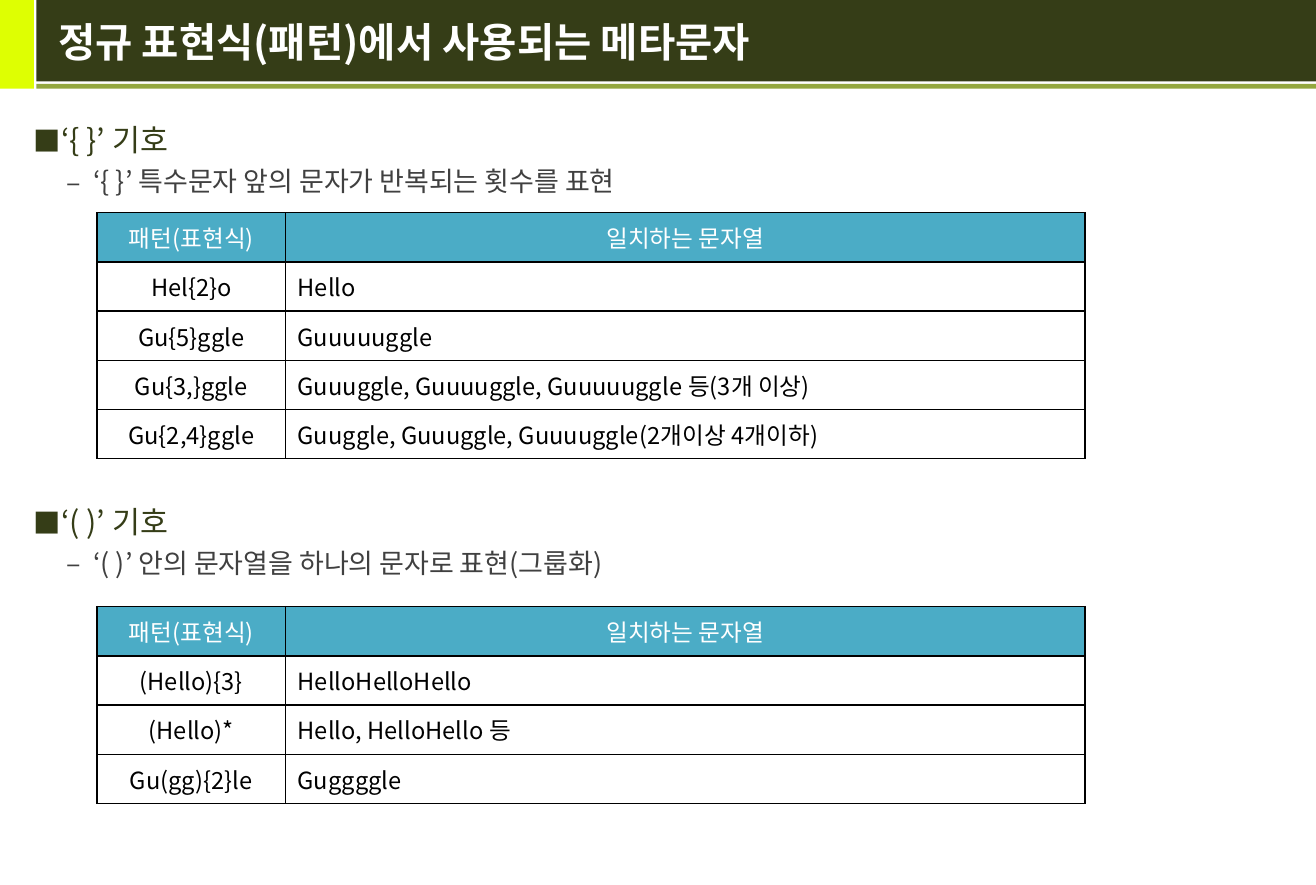
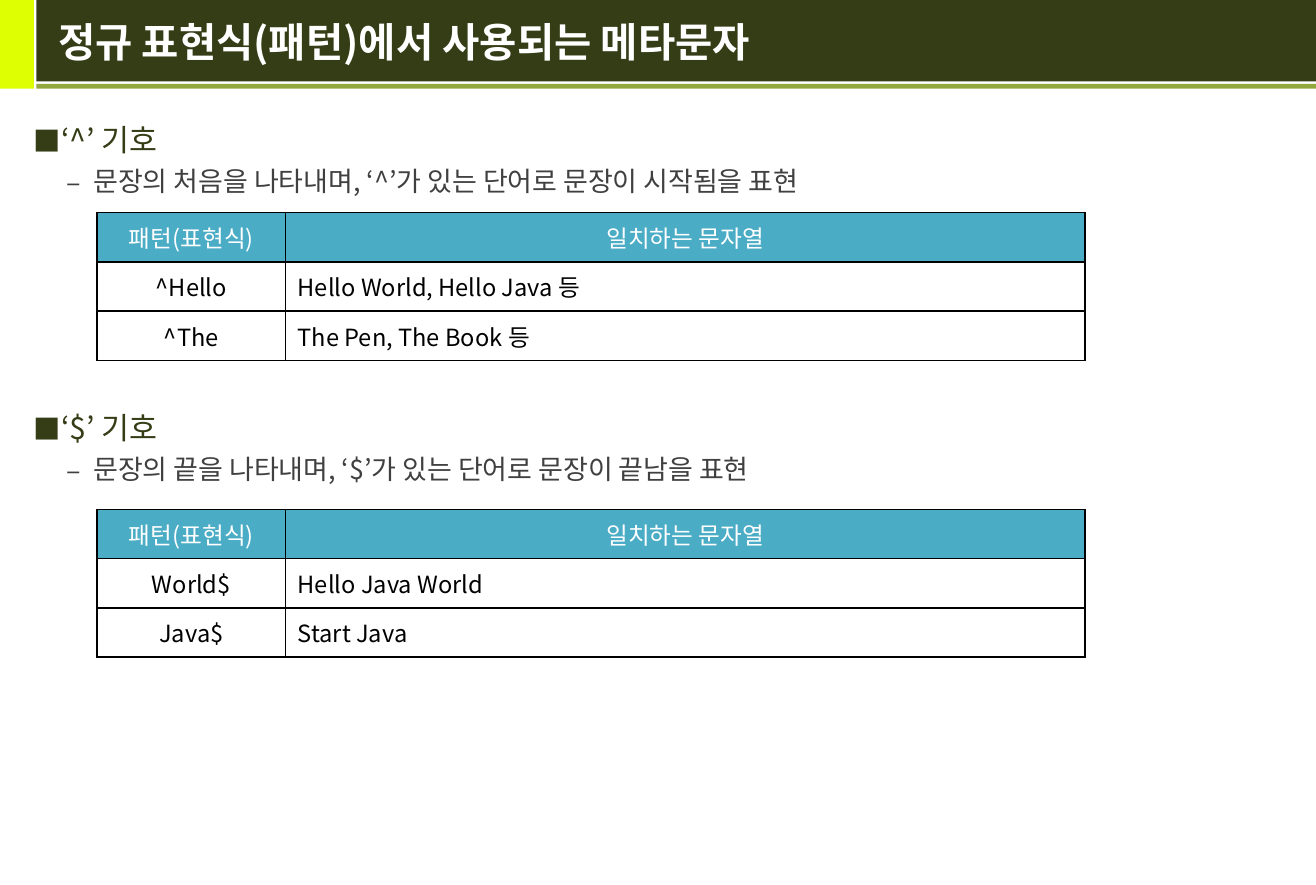
from dataclasses import dataclass

from lxml import etree
from pptx import Presentation
from pptx.dml.color import RGBColor
from pptx.enum.shapes import MSO_SHAPE
from pptx.enum.text import MSO_ANCHOR, PP_ALIGN
from pptx.oxml.ns import qn
from pptx.util import Inches, Pt

RECTANGLE = MSO_SHAPE.RECTANGLE
MIDDLE, TOP = MSO_ANCHOR.MIDDLE, MSO_ANCHOR.TOP
LEFT, CENTER = PP_ALIGN.LEFT, PP_ALIGN.CENTER


@dataclass(frozen=True)
class Theme:
    font: str = "Noto Sans CJK KR"
    lime: str = "DEFF02"
    dark_olive: str = "353D17"
    olive: str = "93A73F"
    gray: str = "404040"
    white: str = "FFFFFF"
    black: str = "000000"
    table_header: str = "4BACC6"
    title_size: int = 24
    heading_size: int = 18
    detail_size: int = 16
    table_size: int = 14
    line_spacing: float = 1.2
    border_width: float = 1
    row_height: float = 1.62 / 4
    column_widths: tuple = (1.55, 6.58)


@dataclass(frozen=True)
class Bullet:
    character: str
    color: str
    margin: float
    hanging: float
    percent: int


THEME = Theme()
HEADING_BULLET = Bullet("■", THEME.dark_olive, 0.2, 0.2, 90)
DETAIL_BULLET = Bullet("–", THEME.gray, 0.49, 0.22, 100)
SLIDE_WIDTH, SLIDE_HEIGHT = 10.83, 7.28
TITLE = "정규 표현식(패턴)에서 사용되는 메타문자"
TABLE_HEADER = ("패턴(표현식)", "일치하는 문자열")

# Each section: top, distance down to its table, heading, detail, table rows
SLIDES = [
    [
        (0.89, 0.86, "‘{ }’ 기호", "‘{ }’ 특수문자 앞의 문자가 반복되는 횟수를 표현", [
            ("Hel{2}o", "Hello"),
            ("Gu{5}ggle", "Guuuuuggle"),
            ("Gu{3,}ggle", "Guuuggle, Guuuuggle, Guuuuuggle 등(3개 이상)"),
            ("Gu{2,4}ggle", "Guuggle, Guuuggle, Guuuuggle(2개이상 4개이하)"),
        ]),
        (4.03, 0.96, "‘( )’ 기호", "‘( )’ 안의 문자열을 하나의 문자로 표현(그룹화)", [
            ("(Hello){3}", "HelloHelloHello"),
            ("(Hello)*", "Hello, HelloHello 등"),
            ("Gu(gg){2}le", "Guggggle"),
        ]),
    ],
    [
        (0.89, 0.86, "‘^’ 기호", "문장의 처음을 나타내며, ‘^’가 있는 단어로 문장이 시작됨을 표현", [
            ("^Hello", "Hello World, Hello Java 등"),
            ("^The", "The Pen, The Book 등"),
        ]),
        (3.26, 0.93, "‘$’ 기호", "문장의 끝을 나타내며, ‘$’가 있는 단어로 문장이 끝남을 표현", [
            ("World$", "Hello Java World"),
            ("Java$", "Start Java"),
        ]),
    ],
]


def add_run(paragraph, text, size, color, bold=False):
    run = paragraph.add_run()
    run.text = text
    font = run.font
    font.name, font.size, font.bold = THEME.font, Pt(size), bold
    font.color.rgb = RGBColor.from_string(color)
    # East Asian typeface follows the Latin one
    latin = font._element.find(qn("a:latin"))
    east_asian = etree.Element(qn("a:ea"), typeface=THEME.font)
    latin.addnext(east_asian)


def set_bullet(paragraph, bullet):
    properties = paragraph._p.get_or_add_pPr()
    properties.set("marL", str(Inches(bullet.margin)))
    properties.set("indent", str(-Inches(bullet.hanging)))
    color = etree.SubElement(properties, qn("a:buClr"))
    etree.SubElement(color, qn("a:srgbClr"), val=bullet.color)
    etree.SubElement(properties, qn("a:buSzPct"), val=str(bullet.percent * 1000))
    etree.SubElement(properties, qn("a:buFont"), typeface=THEME.font)
    etree.SubElement(properties, qn("a:buChar"), char=bullet.character)


def set_borders(cell):
    properties = cell._tc.get_or_add_tcPr()
    for side in ("lnL", "lnR", "lnT", "lnB"):
        line = etree.SubElement(properties, qn(f"a:{side}"), w=str(Pt(THEME.border_width)))
        fill = etree.SubElement(line, qn("a:solidFill"))
        etree.SubElement(fill, qn("a:srgbClr"), val=THEME.black)


def add_band(slide, left, top, width, height, color):
    band = slide.shapes.add_shape(
        RECTANGLE, Inches(left), Inches(top), Inches(width), Inches(height))
    band.shadow.inherit = False
    band.fill.solid()
    band.fill.fore_color.rgb = RGBColor.from_string(color)
    band.line.fill.background()


def add_text_frame(slide, left, top, width, height, anchor):
    box = slide.shapes.add_textbox(Inches(left), Inches(top), Inches(width), Inches(height))
    frame = box.text_frame
    frame.word_wrap = True
    frame.vertical_anchor = anchor
    return frame


def add_title_bar(slide, width, height):
    """Lime block, dark title band and the thin line under it."""
    block_width, band_left, line_height = 0.28, 0.3, 0.04
    band_width = width - band_left
    add_band(slide, 0, 0, block_width, height, THEME.lime)
    add_band(slide, band_left, 0, band_width, height - 0.06, THEME.dark_olive)
    add_band(slide, band_left, height - line_height, band_width, line_height, THEME.olive)
    frame = add_text_frame(slide, band_left + 0.08, 0, 10.32, height - 0.05, MIDDLE)
    add_run(frame.paragraphs[0], TITLE, THEME.title_size, THEME.white, bold=True)


def add_pattern_table(slide, left, top, rows):
    all_rows = [TABLE_HEADER, *rows]
    table = slide.shapes.add_table(
        len(all_rows), len(THEME.column_widths), Inches(left), Inches(top),
        Inches(sum(THEME.column_widths)), Inches(THEME.row_height * len(all_rows))).table
    table.first_row = table.horz_banding = False
    for column, width in zip(table.columns, THEME.column_widths):
        column.width = Inches(width)
    for row_index, texts in enumerate(all_rows):
        table.rows[row_index].height = Inches(THEME.row_height)
        is_header = row_index == 0
        for column_index, text in enumerate(texts):
            cell = table.cell(row_index, column_index)
            set_borders(cell)
            cell.fill.solid()
            cell.fill.fore_color.rgb = RGBColor.from_string(
                THEME.table_header if is_header else THEME.white)
            cell.vertical_anchor = MIDDLE
            paragraph = cell.text_frame.paragraphs[0]
            paragraph.alignment = CENTER if is_header or column_index == 0 else LEFT
            add_run(paragraph, text, THEME.table_size,
                    THEME.white if is_header else THEME.black)


def add_section(slide, left, top, width, table_offset, heading, detail, rows):
    """Bulleted heading and detail line above a pattern table."""
    frame = add_text_frame(slide, left, top, width, 0.86, TOP)
    lines = [
        (frame.paragraphs[0], heading, THEME.heading_size, HEADING_BULLET),
        (frame.add_paragraph(), detail, THEME.detail_size, DETAIL_BULLET),
    ]
    for paragraph, text, size, bullet in lines:
        paragraph.line_spacing = THEME.line_spacing
        set_bullet(paragraph, bullet)
        add_run(paragraph, text, size, bullet.color)
    add_pattern_table(slide, left + 0.62, top + table_offset, rows)


def main():
    presentation = Presentation()
    presentation.slide_width = Inches(SLIDE_WIDTH)
    presentation.slide_height = Inches(SLIDE_HEIGHT)
    blank_layout = presentation.slide_layouts[6]
    for sections in SLIDES:
        slide = presentation.slides.add_slide(blank_layout)
        add_title_bar(slide, SLIDE_WIDTH, 0.73)
        for top, table_offset, heading, detail, rows in sections:
            add_section(slide, 0.18, top, 10.35, table_offset, heading, detail, rows)
    presentation.save("out.pptx")


if __name__ == "__main__":
    main()
